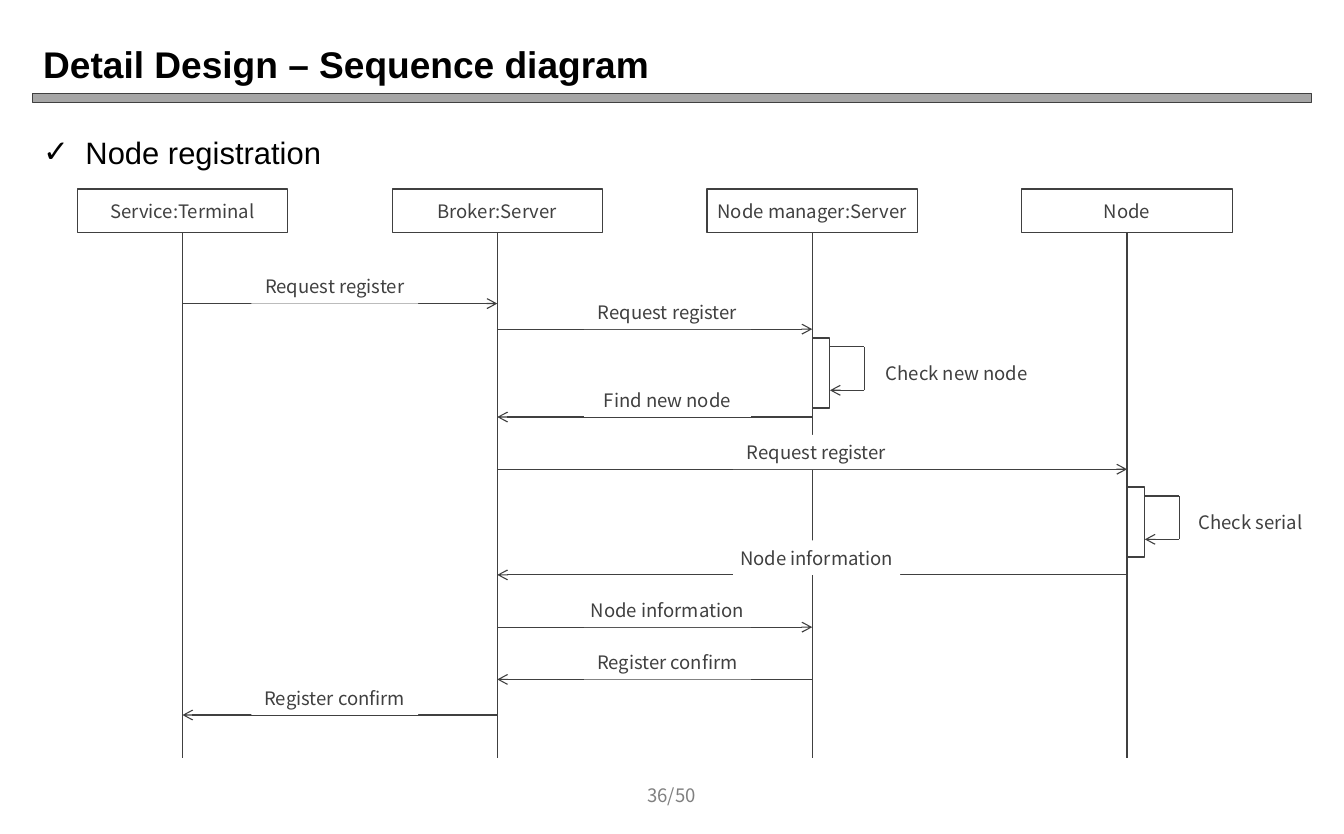
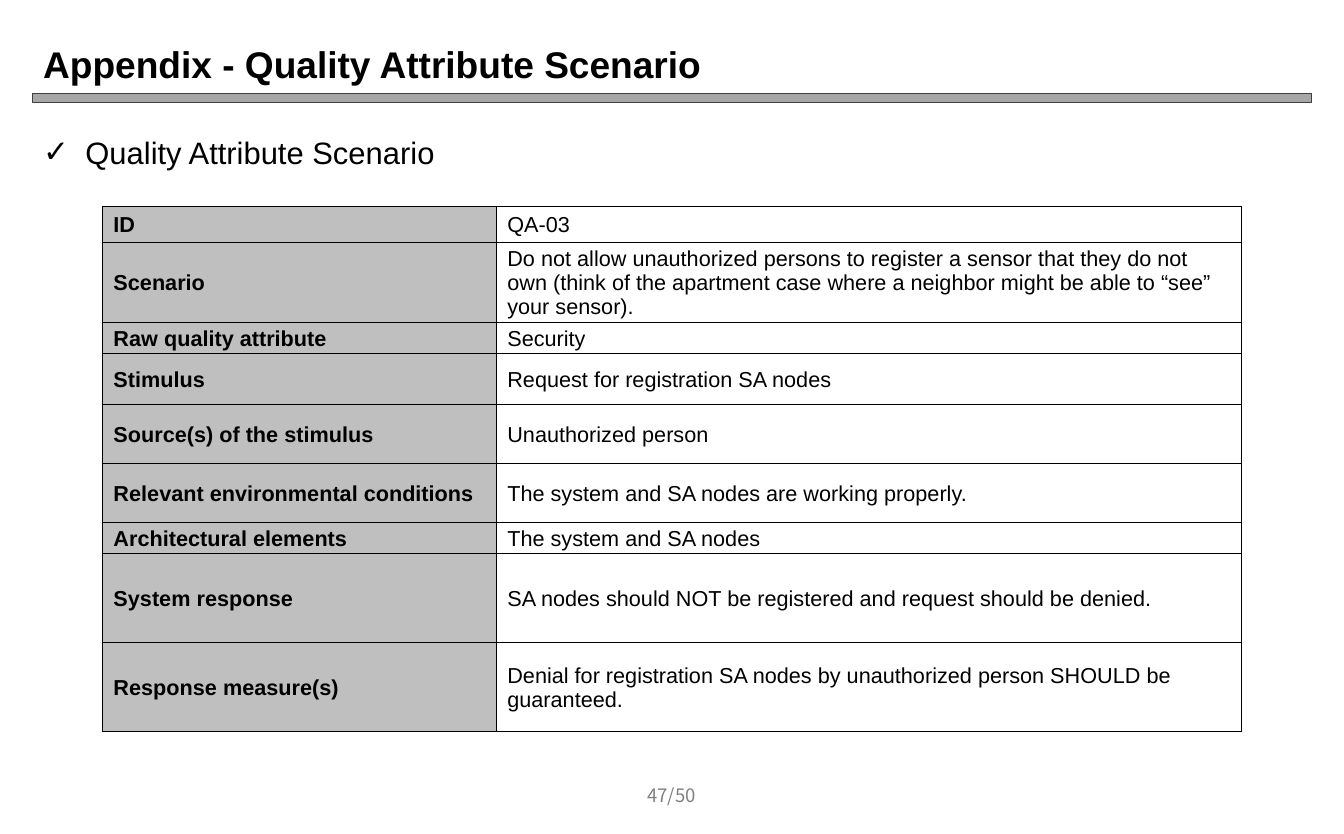
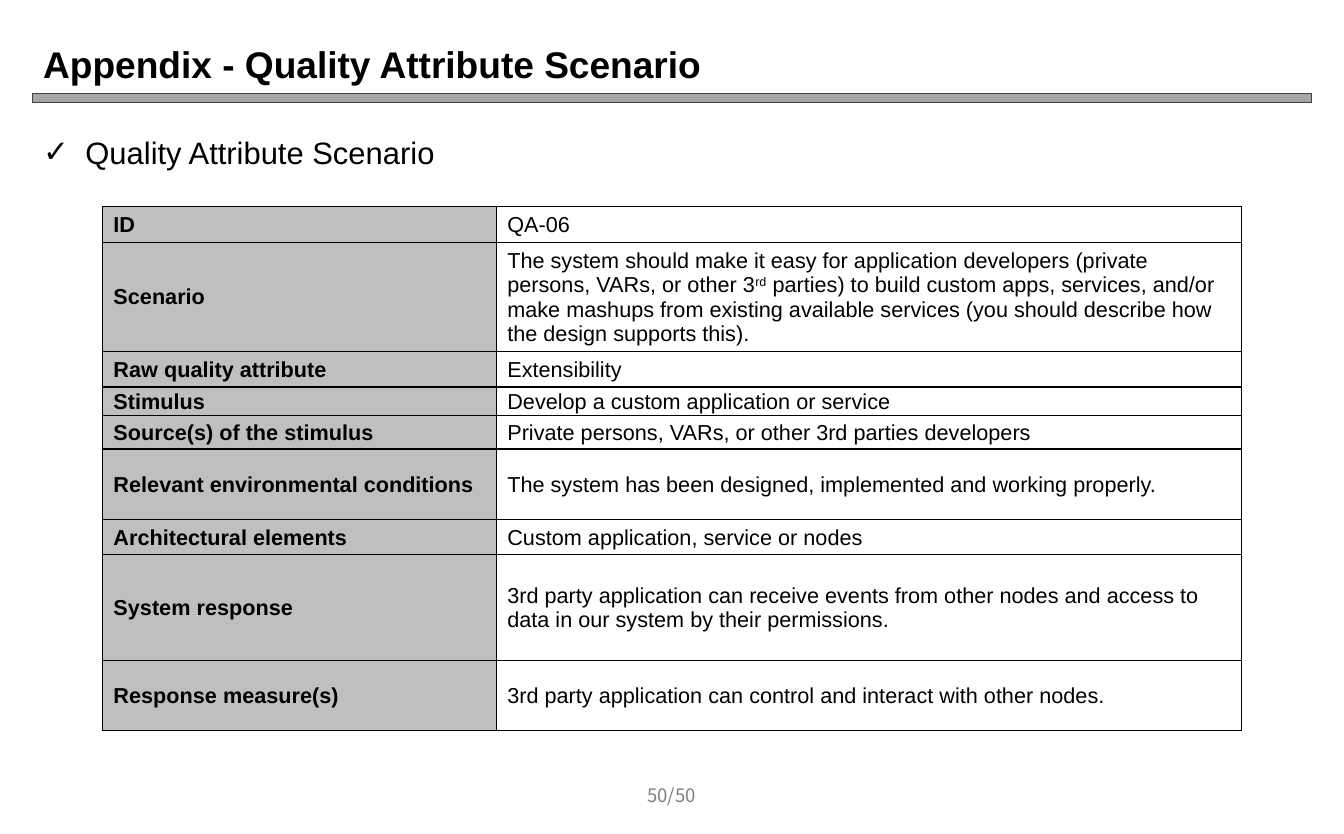
import pptx
import pptx.dml.color
import pptx.enum.shapes
import pptx.enum.text
import pptx.oxml
import pptx.oxml.ns
import pptx.util
from lxml import etree

Inches = pptx.util.Inches
Pt = pptx.util.Pt
SHAPES = pptx.enum.shapes.MSO_SHAPE
CENTER = pptx.enum.text.PP_ALIGN.CENTER
LEFT = pptx.enum.text.PP_ALIGN.LEFT
MIDDLE = pptx.enum.text.MSO_ANCHOR.MIDDLE
TOP = pptx.enum.text.MSO_ANCHOR.TOP

BLACK, WHITE, INK = "000000", "FFFFFF", "404040"
BAND, FOOTER, HEADING_FILL = "A6A6A6", "808080", "BFBFBF"
TEXT_FONT, DIAGRAM_FONT = "Arial", "Noto Sans CJK KR"

HEADER_TOP, HEADER_WIDTH, HEADER_HEIGHT = 1.7, 1.89, 0.39
LIFELINE_LEFT, LIFELINE_GAP, LIFELINE_BOTTOM = 1.64, 2.83, 6.82
LABEL_WIDTH, LABEL_HEIGHT = 1.5, 0.31

PARTICIPANTS = ["Service:Terminal", "Broker:Server", "Node manager:Server", "Node"]
TERMINAL, BROKER, MANAGER, NODE = range(4)
MESSAGES = [
    (TERMINAL, BROKER, 2.73, 2.26, "Request register"),
    (BROKER, MANAGER, 2.96, 5.25, "Request register"),
    (MANAGER, BROKER, 3.75, 5.25, "Find new node"),
    (BROKER, NODE, 4.22, 6.59, "Request register"),
    (NODE, BROKER, 5.17, 6.59, "Node information"),
    (BROKER, MANAGER, 5.64, 5.25, "Node information"),
    (MANAGER, BROKER, 6.11, 5.25, "Register confirm"),
    (BROKER, TERMINAL, 6.43, 2.26, "Register confirm"),
]
SELF_CALLS = [
    (MANAGER, 3.04, 7.85, 3.2, 1.5, "Check new node"),
    (NODE, 4.38, 10.69, 4.54, 1.1, "Check serial"),
]

ATTRIBUTES = [
    "ID", "Scenario", "Raw quality attribute", "Stimulus", "Source(s) of the stimulus",
    "Relevant environmental conditions", "Architectural elements", "System response",
    "Response measure(s)",
]
SECURITY_HEIGHTS = [0.32, 0.72, 0.28, 0.46, 0.53, 0.53, 0.28, 0.8, 0.8]
SECURITY_VALUES = [
    ["QA-03"],
    ["Do not allow unauthorized persons to register a sensor that they do not own "
     "(think of the apartment case where a neighbor might be able to “see” your sensor)."],
    ["Security"],
    ["Request for registration SA nodes"],
    ["Unauthorized person"],
    ["The system and SA nodes are working properly."],
    ["The system and SA nodes"],
    ["SA nodes should NOT be registered and request should be denied."],
    ["Denial for registration SA nodes by unauthorized person SHOULD be guaranteed."],
]
EXTENSIBILITY_HEIGHTS = [0.32, 0.98, 0.32, 0.26, 0.3, 0.63, 0.32, 0.95, 0.63]
EXTENSIBILITY_VALUES = [
    ["QA-06"],
    ["The system should make it easy for application developers (private persons, VARs, "
     "or other 3", ("rd", 30000),
     " parties) to build custom apps, services, and/or make mashups from existing "
     "available services (you should describe how the design supports this)."],
    ["Extensibility"],
    ["Develop a custom application or service"],
    ["Private persons, VARs, or other 3rd parties developers"],
    ["The system has been designed, implemented and working properly."],
    ["Custom application, service or nodes"],
    ["3rd party application can receive events from other nodes and access to data "
     "in our system by their permissions."],
    ["3rd party application can control and interact with other nodes."],
]


def color(value):
    return pptx.dml.color.RGBColor.from_string(value)


def add_runs(paragraph, runs, size, font, fill, bold=False):
    for item in runs:
        text, baseline = item if isinstance(item, tuple) else (item, None)
        run = paragraph.add_run()
        run.text = text
        run.font.size = Pt(size)
        run.font.name = font
        run.font.bold = bold
        run.font.color.rgb = color(fill)
        if baseline:
            run._r.get_or_add_rPr().set("baseline", str(baseline))


def add_text(slide, box, text, size, font, fill, bold=False, align=LEFT, anchor=MIDDLE):
    shape = slide.shapes.add_textbox(*map(Inches, box))
    shape.text_frame.word_wrap = True
    shape.text_frame.vertical_anchor = anchor
    paragraph = shape.text_frame.paragraphs[0]
    paragraph.alignment = align
    add_runs(paragraph, [text], size, font, fill, bold)
    return paragraph


def add_box(slide, box, fill=WHITE, line=INK, text=None, preset=SHAPES.RECTANGLE):
    shape = slide.shapes.add_shape(preset, *map(Inches, box))
    shape.shadow.inherit = False
    shape.fill.solid()
    shape.fill.fore_color.rgb = color(fill)
    if line:
        shape.line.color.rgb = color(line)
        shape.line.width = Pt(0.75)
    else:
        shape.line.fill.background()
    if text:
        frame = shape.text_frame
        frame.word_wrap = True
        frame.vertical_anchor = MIDDLE
        frame.margin_left = frame.margin_right = Inches(0.04)
        frame.margin_top = frame.margin_bottom = Inches(0.04)
        frame.paragraphs[0].alignment = CENTER
        add_runs(frame.paragraphs[0], [text], 12, DIAGRAM_FONT, INK)


def add_line(slide, start, end, arrow=False):
    connector = slide.shapes.add_connector(
        pptx.enum.shapes.MSO_CONNECTOR.STRAIGHT, *map(Inches, (*start, *end)))
    connector.line.color.rgb = color(INK)
    connector.line.width = Pt(0.75)
    if arrow:
        line = connector.line._get_or_add_ln()
        etree.SubElement(line, pptx.oxml.ns.qn("a:tailEnd"), type="arrow")
    etree.SubElement(connector._element.spPr, pptx.oxml.ns.qn("a:effectLst"))


def add_check_bullet(paragraph):
    properties = paragraph._p.get_or_add_pPr()
    properties.set("marL", str(Inches(0.38)))
    properties.set("indent", str(Inches(-0.38)))
    etree.SubElement(properties, pptx.oxml.ns.qn("a:buFont"), typeface="Arial")
    etree.SubElement(properties, pptx.oxml.ns.qn("a:buChar"), char="✓")


def add_page(presentation, title, heading, page):
    slide = presentation.slides.add_slide(presentation.slide_layouts[6])
    add_box(slide, (0.29, 0.84, 11.5, 0.08), BAND, preset=SHAPES.FLOWCHART_PROCESS)
    add_text(slide, (0.29, 0.3, 11.5, 0.54), title, 24, TEXT_FONT, BLACK, bold=True)
    paragraph = add_text(slide, (0.29, 1.15, 11.5, 0.5), heading, 20, TEXT_FONT, BLACK, anchor=TOP)
    add_check_bullet(paragraph)
    add_text(slide, (5.49, 6.95, 1.09, 0.4), f"{page}/50", 12, DIAGRAM_FONT, FOOTER, align=CENTER)
    return slide


def lifeline_x(participant):
    return LIFELINE_LEFT + participant * LIFELINE_GAP


def add_participant(slide, participant, name):
    x = lifeline_x(participant)
    add_box(slide, (x - HEADER_WIDTH / 2, HEADER_TOP, HEADER_WIDTH, HEADER_HEIGHT), text=name)
    add_line(slide, (x, HEADER_TOP + HEADER_HEIGHT), (x, LIFELINE_BOTTOM))


def add_message(slide, sender, receiver, y, label_left, text):
    add_line(slide, (lifeline_x(sender), y), (lifeline_x(receiver), y), arrow=True)
    label = (label_left, y - LABEL_HEIGHT, LABEL_WIDTH, LABEL_HEIGHT)
    add_box(slide, label, line=None, text=text)


def add_self_call(slide, participant, top, label_left, label_top, label_width, text):
    x = lifeline_x(participant)
    near, far = x + 0.16, x + 0.47
    start, end = top + 0.08, top + 0.47
    add_box(slide, (x, top, 0.16, 0.63))
    add_line(slide, (near, start), (far, start))
    add_line(slide, (far, start), (far, end))
    add_line(slide, (far, end), (near, end), arrow=True)
    add_box(slide, (label_left, label_top, label_width, LABEL_HEIGHT), line=None, text=text)


def add_borders(cell):
    properties = cell._tc.get_or_add_tcPr()
    for side in ("lnL", "lnR", "lnT", "lnB"):
        properties.append(pptx.oxml.parse_xml(
            f'<a:{side} {pptx.oxml.ns.nsdecls("a")} w="12700"><a:solidFill>'
            f'<a:srgbClr val="{BLACK}"/></a:solidFill></a:{side}>'))


def fill_cell(cell, runs, heading):
    cell.margin_left = cell.margin_right = Inches(0.1)
    cell.margin_top, cell.margin_bottom = Inches(0.01), Inches(0)
    cell.vertical_anchor = MIDDLE
    add_borders(cell)
    if heading:
        cell.fill.solid()
        cell.fill.fore_color.rgb = color(HEADING_FILL)
    else:
        cell.fill.background()
    add_runs(cell.text_frame.paragraphs[0], runs, 14, TEXT_FONT, BLACK, bold=heading)


def add_scenario_table(slide, heights, values):
    box = (0.92, 1.86, 10.24, sum(heights))
    table = slide.shapes.add_table(len(heights), 2, *map(Inches, box)).table
    table.first_row = table.horz_banding = False
    for column, width in zip(table.columns, (3.54, 6.7)):
        column.width = Inches(width)
    for index, (attribute, height, runs) in enumerate(zip(ATTRIBUTES, heights, values)):
        table.rows[index].height = Inches(height)
        fill_cell(table.cell(index, 0), [attribute], True)
        fill_cell(table.cell(index, 1), runs, False)


def add_sequence_diagram(slide):
    for participant, name in enumerate(PARTICIPANTS):
        add_participant(slide, participant, name)
    for message in MESSAGES:
        add_message(slide, *message)
    for call in SELF_CALLS:
        add_self_call(slide, *call)


def main():
    presentation = pptx.Presentation()
    presentation.slide_width = Inches(12.08)
    presentation.slide_height = Inches(7.5)
    add_sequence_diagram(add_page(
        presentation, "Detail Design – Sequence diagram", "Node registration", 36))
    for page, heights, values in (
        (47, SECURITY_HEIGHTS, SECURITY_VALUES),
        (50, EXTENSIBILITY_HEIGHTS, EXTENSIBILITY_VALUES),
    ):
        slide = add_page(
            presentation, "Appendix - Quality Attribute Scenario", "Quality Attribute Scenario", page)
        add_scenario_table(slide, heights, values)
    presentation.save("out.pptx")


if __name__ == "__main__":
    main()
